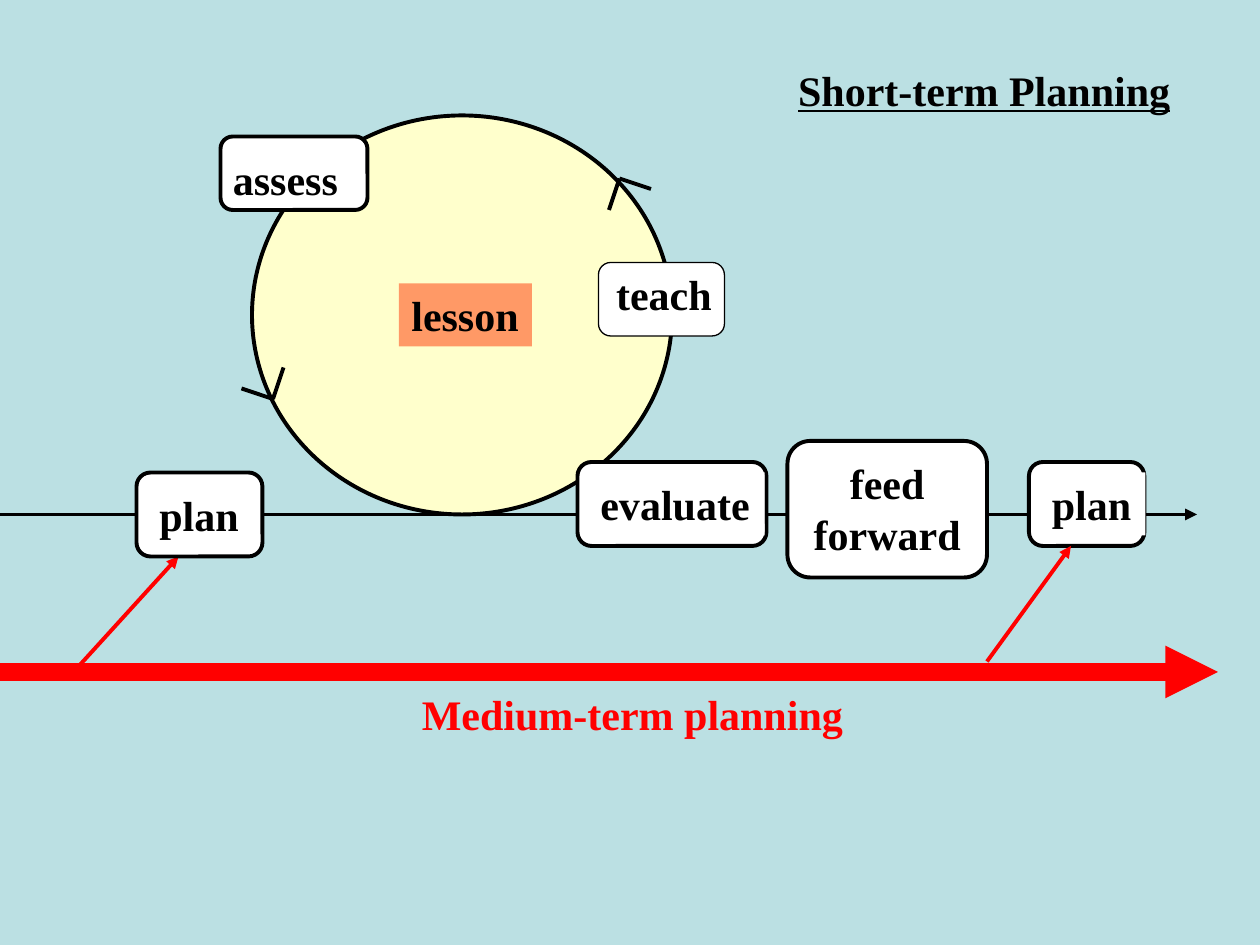
"""Build the short-term and medium-term lesson planning cycle slide."""
import pptx
import pptx.dml.color
import pptx.enum.shapes
import pptx.enum.text
import pptx.oxml
import pptx.util

Pt = pptx.util.Pt
SHAPES = pptx.enum.shapes.MSO_SHAPE
ALIGN = pptx.enum.text.PP_ALIGN
DRAWING = 'xmlns:a="http://schemas.openxmlformats.org/drawingml/2006/main"'
BLACK, WHITE, RED = "000000", "FFFFFF", "FF0000"
THIN, MEDIUM, THICK = 0.75, 2.25, 10


def paint(color_format, hex_color):
    if hasattr(color_format, "solid"):
        color_format.solid()
        color_format = color_format.fore_color
    color_format.rgb = pptx.dml.color.RGBColor.from_string(hex_color)


deck = pptx.Presentation()
deck.slide_width, deck.slide_height = Pt(720), Pt(540)
slide = deck.slides.add_slide(deck.slide_layouts[6])
paint(slide.background.fill, "BBE0E3")


def draw_line(start, end, color=BLACK, width=MEDIUM, arrow=False):
    line = slide.shapes.add_connector(
        pptx.enum.shapes.MSO_CONNECTOR.STRAIGHT, *[Pt(v) for v in (*start, *end)])
    paint(line.line.color, color)
    line.line.width = Pt(width)
    properties = line._element.spPr
    if arrow:
        properties.find(".//{*}ln").append(
            pptx.oxml.parse_xml(f'<a:tailEnd {DRAWING} type="triangle"/>'))
    properties.append(pptx.oxml.parse_xml(f"<a:effectLst {DRAWING}/>"))


draw_line((0, 294), (684, 294), arrow=True)
draw_line((0, 384), (696, 384), RED, THICK, arrow=True)
draw_line((42, 384), (102, 318), RED, arrow=True)

stages = [
    (SHAPES.OVAL, (144, 66, 240, 228), "FFFFCC", MEDIUM),
    (SHAPES.ROUNDED_RECTANGLE, (450, 252, 114, 78), WHITE, MEDIUM),
    (SHAPES.ROUNDED_RECTANGLE, (78, 270, 72, 48), WHITE, MEDIUM),
    (SHAPES.ROUNDED_RECTANGLE, (330, 264, 108, 48), WHITE, MEDIUM),
    (SHAPES.ROUNDED_RECTANGLE, (588, 264, 66, 48), WHITE, MEDIUM),
    (SHAPES.ROUNDED_RECTANGLE, (126, 78, 84, 42), WHITE, MEDIUM),
    (SHAPES.ROUNDED_RECTANGLE, (342, 150, 72, 42), WHITE, THIN),
]
for outline, box, fill, width in stages:
    stage = slide.shapes.add_shape(outline, *[Pt(v) for v in box])
    stage.shadow.inherit = False
    paint(stage.fill, fill)
    paint(stage.line.color, BLACK)
    stage.line.width = Pt(width)

cycle_arrows = [
    ((354, 102), [(372, 108), (348, 120)]),
    ((156, 228), [(162, 210), (138, 222)]),
]
for tip, barbs in cycle_arrows:
    for barb in barbs:
        draw_line(tip, barb)

labels = [
    (["Short-term Planning"], (449, 33.4, 227, 36), None, BLACK, False),
    (["Medium-term planning"], (234, 390, 288, 36), None, RED, True),
    (["lesson"], (228, 162, 76, 36), "FF9966", BLACK, False),
    (["plan"], (84, 276, 60.5, 36), WHITE, BLACK, False),
    (["plan"], (594, 270, 60.5, 36), WHITE, BLACK, False),
    (["evaluate"], (336, 270, 101, 36), WHITE, BLACK, False),
    (["feed", "forward"], (456, 258, 102, 65), WHITE, BLACK, True),
    (["assess"], (126, 84, 80, 36), None, BLACK, True),
    (["teach"], (345, 150, 69, 36), None, BLACK, False),
]
for lines, box, fill, color, wrap in labels:
    label = slide.shapes.add_textbox(*[Pt(v) for v in box])
    if fill:
        paint(label.fill, fill)
    frame = label.text_frame
    frame.word_wrap = wrap
    frame.auto_size = pptx.enum.text.MSO_AUTO_SIZE.SHAPE_TO_FIT_TEXT
    for index, words in enumerate(lines):
        paragraph = frame.add_paragraph() if index else frame.paragraphs[0]
        paragraph.alignment = ALIGN.CENTER if len(lines) > 1 else ALIGN.LEFT
        run = paragraph.add_run()
        run.text = words
        run.font.name = "Times New Roman"
        run.font.size = Pt(24)
        run.font.bold = True
        run.font.underline = words == "Short-term Planning"
        paint(run.font.color, color)

draw_line((564, 378), (612, 312), RED, arrow=True)

deck.save("out.pptx")
